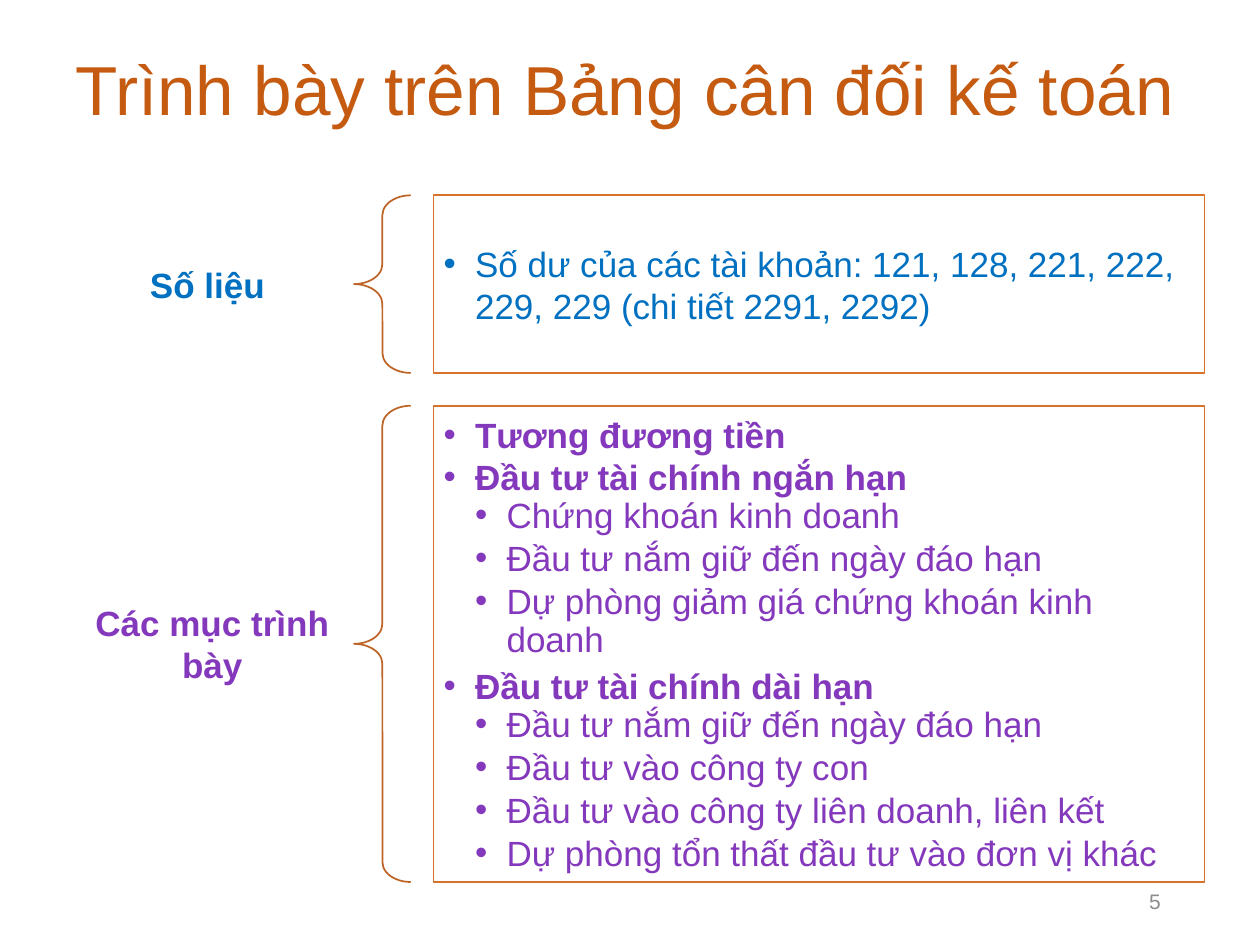
from lxml import etree
from pptx import Presentation
from pptx.dml.color import RGBColor
from pptx.enum.shapes import MSO_SHAPE as Shape
from pptx.enum.text import MSO_ANCHOR as Anchor, PP_ALIGN as Align
from pptx.oxml.ns import qn
from pptx.util import Inches, Pt

COLORS = {
    "title": "C55A11",
    "figures": "0070C0",
    "items": "8439BD",
    "brace": "BE6427",
    "border": "D7712C",
    "panel": "FFFFFF",
    "number": "8C8C8C",
}
FONT = "Arial"
BODY_SIZE = 20
LABEL_LEFT, LABEL_WIDTH, LABEL_HEIGHT = 0.56, 2.25, 1.41
BRACE_LEFT, BRACE_WIDTH = 2.81, 0.45
PANEL_LEFT, PANEL_WIDTH = 3.44, 6.12
INDENT = 0.25

# Each section: label, colour, top, height, (level, text) bullets
SECTIONS = [
    ("Số liệu ", "figures", 1.55, 1.41, [
        (1, "Số dư của các tài khoản: 121, 128, 221, 222, 229, 229 "
            "(chi tiết 2291, 2292)"),
    ]),
    ("Các mục trình bày", "items", 3.22, 3.78, [
        (1, "Tương đương tiền"),
        (1, "Đầu tư tài chính ngắn hạn"),
        (2, "Chứng khoán kinh doanh"),
        (2, "Đầu tư nắm giữ đến ngày đáo hạn"),
        (2, "Dự phòng giảm giá chứng khoán kinh doanh"),
        (1, "Đầu tư tài chính dài hạn"),
        (2, "Đầu tư nắm giữ đến ngày đáo hạn"),
        (2, "Đầu tư vào công ty con"),
        (2, "Đầu tư vào công ty liên doanh, liên kết"),
        (2, "Dự phòng tổn thất đầu tư vào đơn vị khác"),
    ]),
]


def rgb(name):
    return RGBColor.from_string(COLORS[name])


def set_frame(frame, inset_x=0.1, inset_y=0.05):
    values = {
        "word_wrap": True,
        "vertical_anchor": Anchor.MIDDLE,
        "margin_left": Inches(inset_x),
        "margin_right": Inches(inset_x),
        "margin_top": Inches(inset_y),
        "margin_bottom": Inches(inset_y),
    }
    for name, value in values.items():
        setattr(frame, name, value)


def write(para, text, color, size=BODY_SIZE, bold=False):
    span = para.add_run()
    span.text = text
    values = {"name": FONT, "size": Pt(size), "bold": bold}
    for name, value in values.items():
        setattr(span.font, name, value)
    span.font.color.rgb = rgb(color)


def add_text(page, area, text, color, size, align, bold=False, insets=(0.1, 0.05)):
    box = page.shapes.add_textbox(*map(Inches, area))
    set_frame(box.text_frame, *insets)
    para = box.text_frame.paragraphs[0]
    para.alignment = align
    write(para, text, color, size, bold)
    return para


def add_outline(page, kind, area, line):
    shape = page.shapes.add_shape(kind, *map(Inches, area))
    shape.shadow.inherit = False
    shape.line.color.rgb = rgb(line)
    shape.line.width = Pt(1)
    return shape


def add_brace(page, top, height):
    area = (BRACE_LEFT, top, BRACE_WIDTH, height)
    brace = add_outline(page, Shape.LEFT_BRACE, area, "brace")
    brace.fill.background()
    brace.adjustments[0] = 0.35
    brace.adjustments[1] = 0.5


def set_bullet(para, level):
    para.level = level
    properties = para._p.get_or_add_pPr()
    properties.set("marL", str(Inches(INDENT * level)))
    properties.set("indent", str(-Inches(INDENT)))
    etree.SubElement(properties, qn("a:buFont")).set("typeface", FONT)
    etree.SubElement(properties, qn("a:buChar")).set("char", "•")


def add_panel(page, top, height, bullets, color):
    area = (PANEL_LEFT, top, PANEL_WIDTH, height)
    panel = add_outline(page, Shape.RECTANGLE, area, "border")
    panel.fill.solid()
    panel.fill.fore_color.rgb = rgb("panel")
    frame = panel.text_frame
    set_frame(frame, 0.08, 0.08)
    has_headings = any(level == 2 for level, _ in bullets)
    for index, (level, text) in enumerate(bullets):
        para = frame.add_paragraph() if index else frame.paragraphs[0]
        set_bullet(para, level)
        para.alignment = Align.LEFT
        if level == 2:
            para.line_spacing = 0.9
            para.space_after = Pt(3)
        write(para, text, color, bold=has_headings and level == 1)


def add_section(page, label, color, top, height, bullets):
    label_top = top + (height - LABEL_HEIGHT) / 2
    add_text(page, (LABEL_LEFT, label_top, LABEL_WIDTH, LABEL_HEIGHT), label,
             color, BODY_SIZE, Align.CENTER, bold=True, insets=(0.16, 0.06))
    add_brace(page, top, height)
    add_panel(page, top, height, bullets, color)


def main():
    deck = Presentation()
    deck.slide_width, deck.slide_height = Inches(10), Inches(7.5)
    page = deck.slides.add_slide(deck.slide_layouts[6])
    title = add_text(page, (0.5, 0.3, 9.08, 0.87),
                     "Trình bày trên Bảng cân đối kế toán",
                     "title", 39.6, Align.LEFT)
    title.line_spacing = 0.9
    for section in SECTIONS:
        add_section(page, *section)
    add_text(page, (7.06, 6.95, 2.25, 0.4), "5", "number", 12, Align.RIGHT)
    deck.save("out.pptx")


if __name__ == "__main__":
    main()
